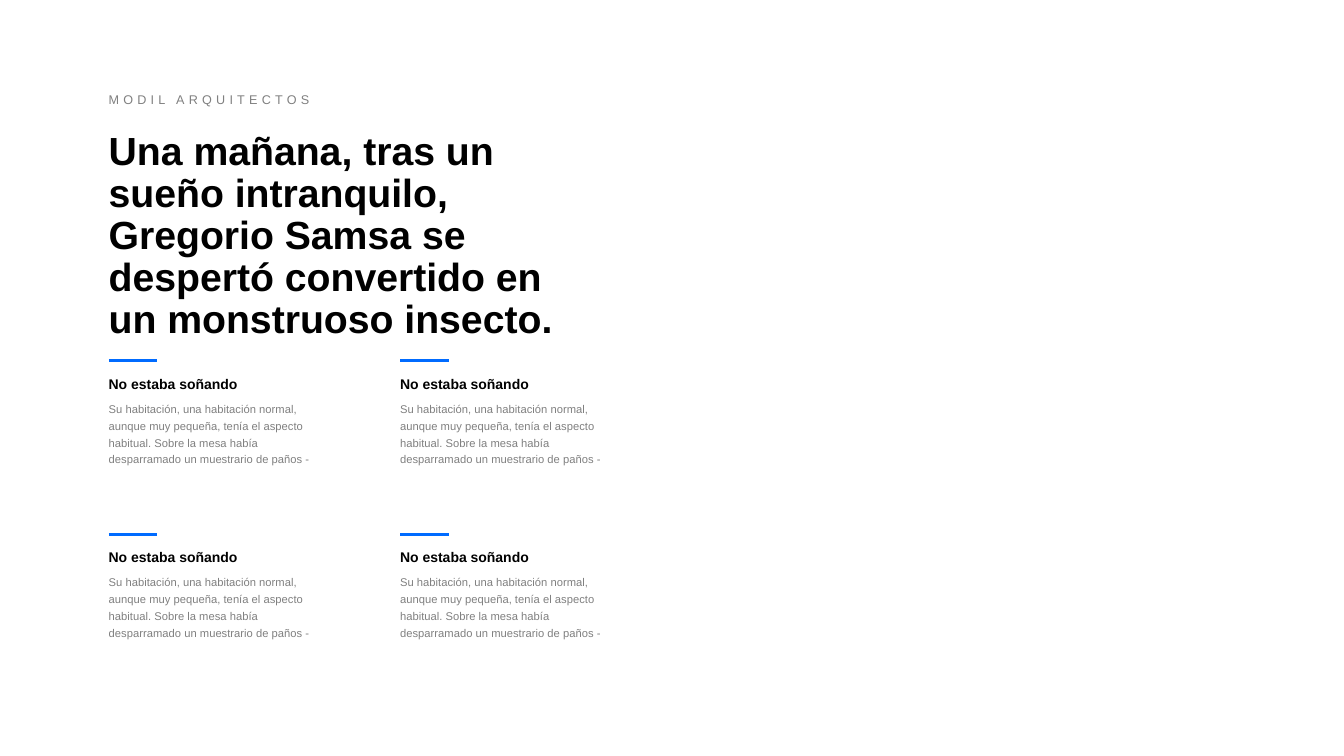
import dataclasses

import pptx
import pptx.dml.color
import pptx.enum.shapes
import pptx.enum.text
import pptx.oxml.ns
import pptx.util
from lxml import etree

Inches = pptx.util.Inches
Pt = pptx.util.Pt
RGBColor = pptx.dml.color.RGBColor
ALIGN = pptx.enum.text.PP_ALIGN


@dataclasses.dataclass(frozen=True)
class Theme:
    font: str = "Arial"
    ink: RGBColor = RGBColor(0x00, 0x00, 0x00)
    muted: RGBColor = RGBColor(0x80, 0x80, 0x80)
    accent: RGBColor = RGBColor(0x00, 0x6B, 0xFF)
    title_size: Pt = Pt(28)
    heading_size: Pt = Pt(10)
    eyebrow_size: Pt = Pt(9)
    body_size: Pt = Pt(8)
    rule_width: Pt = Pt(2.25)


THEME = Theme()
TITLE = ("Una mañana, tras un sueño intranquilo, Gregorio Samsa se despertó "
         "convertido en un monstruoso insecto.")
HEADING = "No estaba soñando"
BODY = ("Su habitación, una habitación normal, aunque muy pequeña, tenía el aspecto "
        "habitual. Sobre la mesa había desparramado un muestrario de paños -")

MARGIN = 0.98
TEXT_INSET = 0.1
COLUMNS = [(MARGIN, 1.54, 2.35), (3.87, 1.7, 2.26)]  # left, heading width, body width
ROW_TOPS = [3.58, 5.3]


def add_text(page, left, top, width, height, text, size, color,
             bold=False, line_spacing=None, align=None):
    box = page.shapes.add_textbox(Inches(left), Inches(top), Inches(width), Inches(height))
    frame = box.text_frame
    frame.word_wrap = True
    frame.auto_size = pptx.enum.text.MSO_AUTO_SIZE.SHAPE_TO_FIT_TEXT
    para = frame.paragraphs[0]
    para.text = text
    para.alignment = align
    para.line_spacing = line_spacing
    para.font.name = THEME.font
    para.font.size = size
    para.font.bold = bold
    para.font.color.rgb = color
    return para


def add_rule(page, left, top, length):
    rule = page.shapes.add_connector(
        pptx.enum.shapes.MSO_CONNECTOR.STRAIGHT,
        Inches(left), Inches(top), Inches(left + length), Inches(top))
    rule.line.color.rgb = THEME.accent
    rule.line.width = THEME.rule_width
    properties = rule._element.spPr
    etree.SubElement(properties, pptx.oxml.ns.qn("a:effectLst"))


def add_header(page, left, top, width):
    add_text(page, left, top + 0.39, width, 1.78, TITLE, THEME.title_size,
             THEME.ink, bold=True, line_spacing=Pt(30))
    eyebrow = add_text(page, left, top, 2.35, 0.25, "MODIL ARQUITECTOS",
                       THEME.eyebrow_size, THEME.muted)
    for span in eyebrow.runs:
        span.font._element.set("spc", "300")


def add_item(page, left, top, heading_width, body_width):
    """Place an accent rule with a heading and a paragraph below it."""
    add_rule(page, left + TEXT_INSET, top, 0.48)
    add_text(page, left, top + 0.01, heading_width, 0.35, HEADING, THEME.heading_size,
             THEME.ink, bold=True, line_spacing=1.5, align=ALIGN.JUSTIFY)
    add_text(page, left, top + 0.33, body_width, 0.77, BODY, THEME.body_size,
             THEME.muted, line_spacing=Pt(12))


def main():
    deck = pptx.Presentation()
    deck.slide_width = Inches(13.33)
    deck.slide_height = Inches(7.5)
    page = deck.slides.add_slide(deck.slide_layouts[6])
    add_header(page, MARGIN, 0.86, 5.04)
    for top in ROW_TOPS:
        for left, heading_width, body_width in COLUMNS:
            add_item(page, left, top, heading_width, body_width)
    deck.save("out.pptx")


if __name__ == "__main__":
    main()
